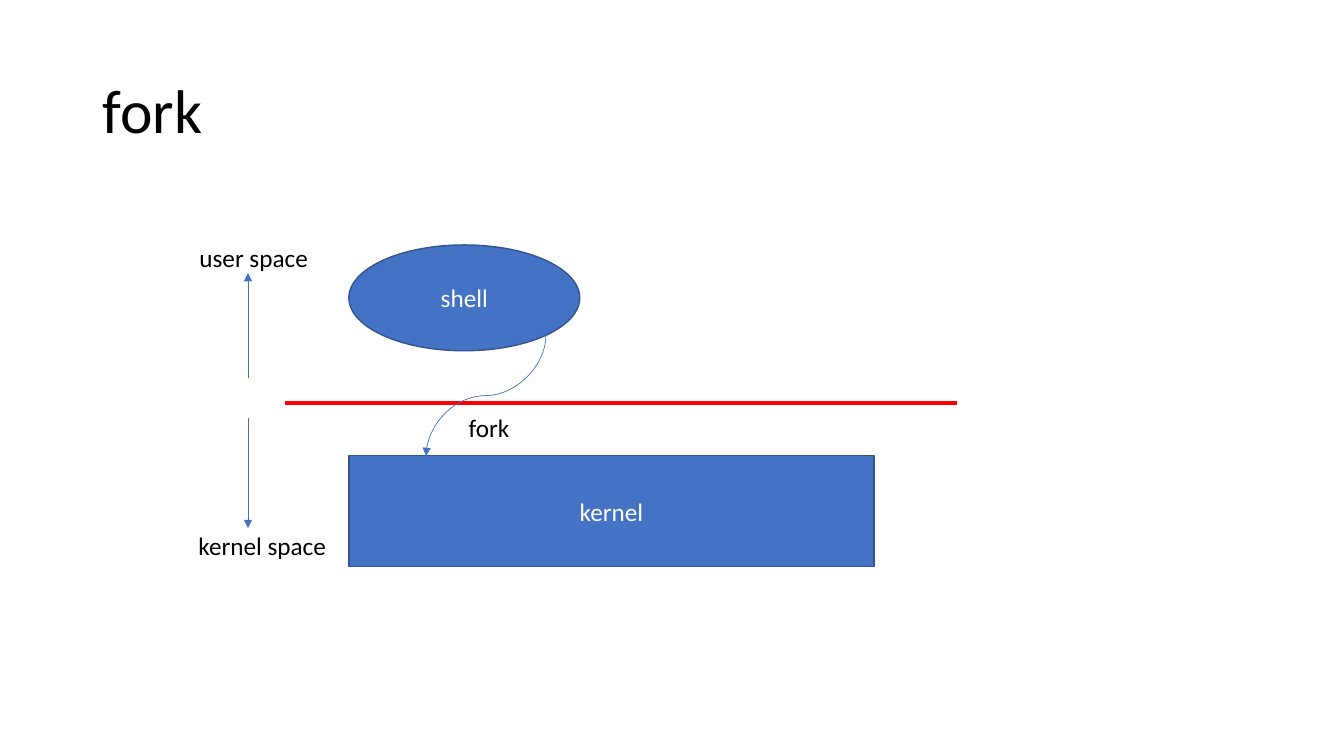
"""Build a slide showing a shell calling fork across the kernel boundary."""
from pptx import Presentation
from pptx.dml.color import RGBColor as RGB
from pptx.enum.shapes import MSO_CONNECTOR as LINK, MSO_SHAPE as SHAPE
from pptx.enum.text import MSO_ANCHOR as ANCHOR, PP_ALIGN as ALIGN
from pptx.oxml.ns import qn
from pptx.util import Inches, Pt
from lxml import etree

COLORS = {"text": "000000", "light": "FFFFFF", "fill": "4472C4",
          "edge": "325491", "border": "FF0000"}


def write(shape, text, size=18, color="text", align=ALIGN.LEFT,
          anchor=ANCHOR.TOP, spacing=1.0):
    frame = shape.text_frame
    frame.word_wrap = True
    frame.vertical_anchor = anchor
    par = frame.paragraphs[0]
    par.alignment = align
    par.line_spacing = spacing
    run = par.add_run()
    run.text = text
    run.font.name = "Calibri"
    run.font.size = Pt(size)
    run.font.color.rgb = RGB.from_string(COLORS[color])


def link(kind, ends, color="fill", width=0.5, arrow=True):
    line = slide.shapes.add_connector(kind, *map(Inches, ends))
    line.line.color.rgb = RGB.from_string(COLORS[color])
    line.line.width = Pt(width)
    props = line._element.spPr
    if arrow:
        etree.SubElement(props.find(qn("a:ln")), qn("a:tailEnd"), type="triangle")
    etree.SubElement(props, qn("a:effectLst"))
    return line


deck = Presentation()
deck.slide_width, deck.slide_height = Inches(13.33), Inches(7.5)
slide = deck.slides.add_slide(deck.slide_layouts[6])

title = slide.shapes.add_textbox(*map(Inches, (0.92, 0.4, 11.5, 1.45)))
write(title, "fork", size=44, anchor=ANCHOR.MIDDLE, spacing=0.9)

link(LINK.STRAIGHT, (2.83, 4, 9.49, 4), color="border", width=3, arrow=False)

for kind, text, box in [
    (SHAPE.OVAL, "shell", (3.46, 2.43, 2.29, 1.05)),
    (SHAPE.RECTANGLE, "kernel", (3.46, 4.52, 5.21, 1.1)),
]:
    node = slide.shapes.add_shape(kind, *map(Inches, box))
    node.shadow.inherit = False
    node.fill.solid()
    node.fill.fore_color.rgb = RGB.from_string(COLORS["fill"])
    node.line.color.rgb = RGB.from_string(COLORS["edge"])
    node.line.width = Pt(1)
    write(node, text, color="light", align=ALIGN.CENTER, anchor=ANCHOR.MIDDLE)

call = link(LINK.CURVE, (4.22, 3.33, 5.42, 4.52))
call._element.spPr.find(qn("a:xfrm")).set("rot", str(90 * 60000))

for start, end in [(4.15, 5.24), (3.75, 2.71)]:
    link(LINK.STRAIGHT, (2.46, start, 2.46, end))

for text, left, top, width in [
    ("fork", 4.55, 4.04, 2.71),
    ("user space", 1.88, 2.36, 2.04),
    ("kernel space", 1.87, 5.21, 2.04),
]:
    label = slide.shapes.add_textbox(*map(Inches, (left, top, width, 0.4)))
    write(label, text)

deck.save("out.pptx")
